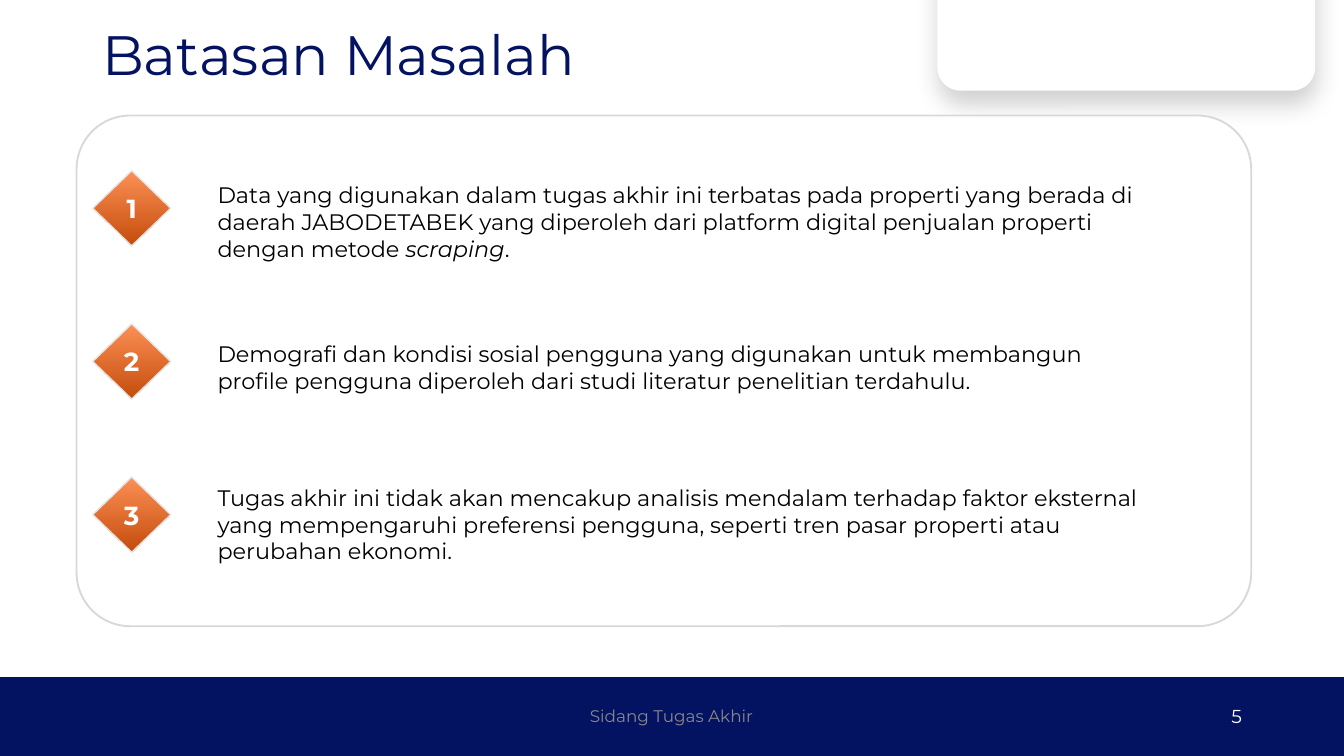
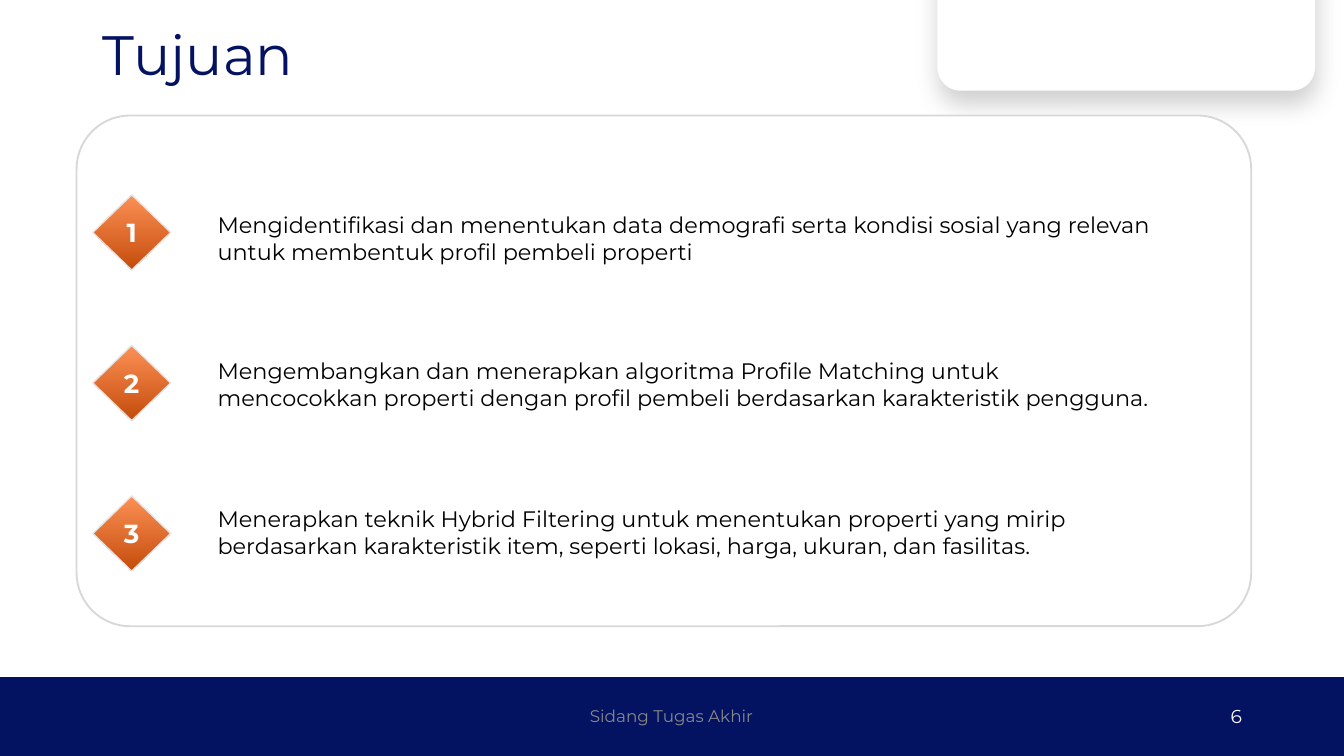
from dataclasses import dataclass

from lxml.etree import SubElement
from pptx import Presentation
from pptx.dml.color import RGBColor as Rgb
from pptx.enum.shapes import MSO_SHAPE as Shape
from pptx.enum.text import MSO_ANCHOR as Anchor, PP_ALIGN as Align
from pptx.oxml.ns import qn
from pptx.slide import Slide
from pptx.util import Inches, Pt

FONT = "Montserrat"
FOOTER = "Sidang Tugas Akhir"
HUES = {
    "navy": "031261",
    "white": "FFFFFF",
    "black": "000000",
    "grey": "888888",
    "frame": "D8D8D8",
    "edge": "E7E6E6",
    "light": "FC9055",
    "dark": "C44C0B",
}
TIGHT = (0.07, 0.04, 0.07, 0.04)


@dataclass(frozen=True)
class Box:
    left: float
    top: float
    width: float
    height: float

    def size(self) -> tuple:
        return tuple(Inches(v) for v in (self.left, self.top, self.width, self.height))


@dataclass(frozen=True)
class Point:
    text: str
    top: float


@dataclass(frozen=True)
class Page:
    title: str
    number: int
    start: float
    step: float
    points: tuple[Point, ...]


PAGES = (
    Page("Batasan Masalah", 5, 1.27, 1.14, (
        Point("Data yang digunakan dalam tugas akhir ini terbatas pada properti yang berada "
              "di daerah JABODETABEK yang diperoleh dari platform digital penjualan properti "
              "dengan metode *scraping*.", 1.25),
        Point("Demografi dan kondisi sosial pengguna yang digunakan untuk membangun profile "
              "pengguna diperoleh dari studi literatur penelitian terdahulu.", 2.43),
        Point("Tugas akhir ini tidak akan mencakup analisis mendalam terhadap faktor eksternal "
              "yang mempengaruhi preferensi pengguna, seperti tren pasar properti atau "
              "perubahan ekonomi.", 3.5),
    )),
    Page("Tujuan", 6, 1.45, 1.12, (
        Point("Mengidentifikasi dan menentukan data demografi serta kondisi sosial yang "
              "relevan untuk membentuk profil pembeli properti", 1.47),
        Point("Mengembangkan dan menerapkan algoritma Profile Matching untuk mencocokkan "
              "properti dengan profil pembeli berdasarkan karakteristik pengguna.", 2.56),
        Point("Menerapkan teknik Hybrid Filtering untuk menentukan properti yang mirip "
              "berdasarkan karakteristik item, seperti lokasi, harga, ukuran, dan fasilitas.",
              3.66),
    )),
)


def tint(name: str) -> Rgb:
    return Rgb.from_string(HUES[name])


def write(shape, text: str, *, size: float, hue: str, bold: bool = False,
          align=Align.LEFT, anchor=Anchor.MIDDLE, inset: tuple = TIGHT,
          lead: float = 1.0) -> None:
    frame = shape.text_frame
    frame.word_wrap = True
    frame.vertical_anchor = anchor
    (frame.margin_left, frame.margin_top,
     frame.margin_right, frame.margin_bottom) = map(Inches, inset)
    para = frame.paragraphs[0]
    para.alignment = align
    para.line_spacing = lead
    for i, part in enumerate(text.split("*")):
        run = para.add_run()
        run.text = part
        font = run.font
        font.name, font.size, font.bold = FONT, Pt(size), bold
        font.italic = i % 2 == 1
        font.color.rgb = tint(hue)


def label(slide: Slide, box: Box, text: str, **style) -> None:
    write(slide.shapes.add_textbox(*box.size()), text, **style)


def draw(slide: Slide, kind: Shape, box: Box, fill: str, line: str,
         width: float = 0.75, round_by: float | None = None):
    shape = slide.shapes.add_shape(kind, *box.size())
    shape.shadow.inherit = False
    shape.fill.solid()
    shape.fill.fore_color.rgb = tint(fill)
    shape.line.color.rgb = tint(line)
    shape.line.width = Pt(width)
    if round_by is not None:
        shape.adjustments[0] = round_by
    return shape


def shade(shape) -> None:
    effects = shape.element.spPr.find(qn("a:effectLst"))
    outer = SubElement(effects, qn("a:outerShdw"), blurRad=str(Pt(13.5)),
                       dist=str(Pt(7.5)), dir=str(84 * 60000),
                       algn="t", rotWithShape="0")
    hue = SubElement(outer, qn("a:srgbClr"), val=HUES["black"])
    SubElement(hue, qn("a:alpha"), val="19000")


def badge(slide: Slide, top: float, number: int) -> None:
    shape = draw(slide, Shape.DIAMOND, Box(0.69, top, 0.58, 0.56), "dark", "edge")
    shape.fill.gradient()
    shape.fill.gradient_angle = 270
    for stop, name, place in zip(shape.fill.gradient_stops, ("light", "dark"), (0, 1)):
        stop.color.rgb = tint(name)
        stop.position = place
    write(shape, str(number), size=14, hue="white", bold=True,
          align=Align.CENTER, inset=(0, 0.1, 0, 0.1))


def base(slide: Slide, page: Page) -> None:
    draw(slide, Shape.RECTANGLE, Box(-0.28, 5.04, 10.61, 0.8), "navy", "navy")
    shade(draw(slide, Shape.ROUNDED_RECTANGLE, Box(6.98, -0.34, 2.8, 1.01),
               "white", "white", round_by=0.167))
    draw(slide, Shape.ROUNDED_RECTANGLE, Box(0.57, 0.86, 8.74, 3.8),
         "white", "frame", width=1, round_by=0.105)
    label(slide, Box(0.69, 0.17, 8.62, 0.52), page.title,
          size=29.7, hue="navy", lead=0.9)
    label(slide, Box(7.06, 5.18, 2.25, 0.3), str(page.number),
          size=10, hue="white", align=Align.RIGHT)
    label(slide, Box(3.02, 5.18, 3.95, 0.3), FOOTER,
          size=9, hue="grey", align=Align.CENTER)


def build(deck, page: Page) -> None:
    slide = deck.slides.add_slide(deck.slide_layouts[6])
    slide.background.fill.solid()
    slide.background.fill.fore_color.rgb = tint("white")
    base(slide, page)
    for i, point in enumerate(page.points):
        badge(slide, page.start + i * page.step, i + 1)
        label(slide, Box(1.52, point.top, 7.15, 0.52), point.text,
              size=12, hue="black", anchor=Anchor.TOP, inset=(0.1,) * 4)


def main() -> None:
    deck = Presentation()
    deck.slide_width = Inches(10)
    deck.slide_height = Inches(10) * 9 // 16
    for page in PAGES:
        build(deck, page)
    deck.save("out.pptx")


if __name__ == "__main__":
    main()
